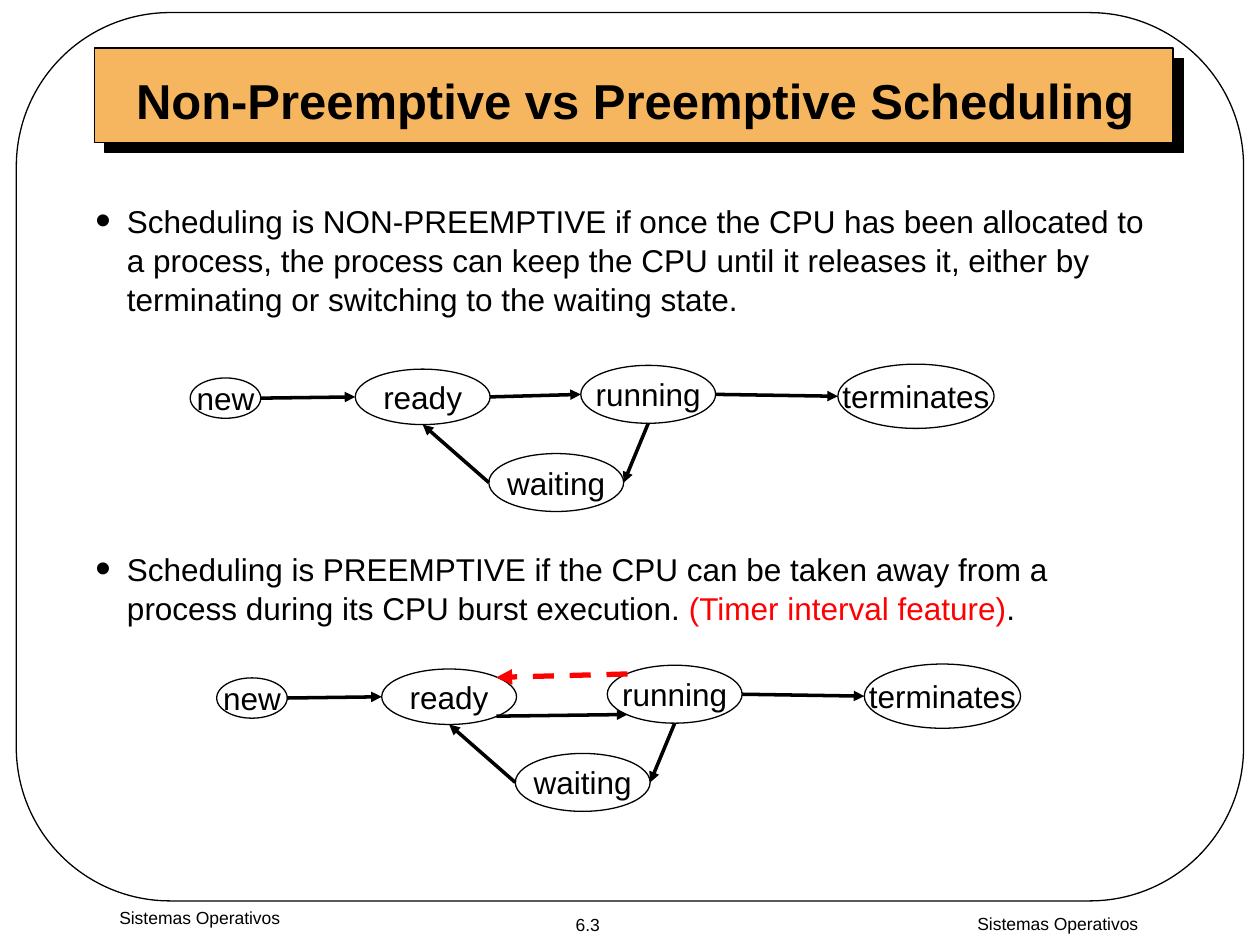
from pptx import Presentation
from pptx.dml.color import RGBColor
from pptx.enum.dml import MSO_LINE
from pptx.enum.shapes import MSO_CONNECTOR, MSO_SHAPE
from pptx.enum.text import MSO_ANCHOR, PP_ALIGN
from pptx.oxml import parse_xml
from pptx.oxml.ns import nsdecls, qn
from pptx.util import Inches, Pt

BLACK, WHITE, RED, GOLD = "000000", "FFFFFF", "FF0000", "F6B660"
PORTS = {
    "top": (0.5, 0), "left": (0, 0.5), "low": (0.5, 1), "right": (1, 0.5),
    "top left": (0.15, 0.15), "top right": (0.85, 0.15),
    "low left": (0.15, 0.85), "low right": (0.85, 0.85),
}
STATES = {
    "new": (1.51, 3, 0.56, 0.32),
    "ready": (2.82, 2.93, 1.07, 0.44),
    "running": (4.61, 2.9, 1.07, 0.46),
    "terminates": (6.65, 2.89, 1.24, 0.51),
    "waiting": (3.88, 3.6, 1.07, 0.46),
}
SHARED = [
    ("new", "right", "ready", "left"),
    ("running", "right", "terminates", "left"),
    ("running", "low", "waiting", "right"),
    ("waiting", "left", "ready", "low"),
]
KEEP = [("ready", "right", "running", "left")]
SWAP = [("ready", "low right", "running", "low left")]
TIMER = ("running", "top left", "ready", "top right")
POINTS = [
    [("Scheduling is NON-PREEMPTIVE if once the CPU has been allocated to a "
      "process, the process can keep the CPU until it releases it, either by "
      "terminating or switching to the waiting state.", BLACK)],
    [("Scheduling is PREEMPTIVE if the CPU can be taken away from a process "
      "during its CPU burst execution. ", BLACK),
     ("(Timer interval feature)", RED), (".", BLACK)],
]


def hue(code):
    """Turn a hex string into a colour."""
    return RGBColor.from_string(code)


def node(tag, **vals):
    """Make a drawing element with attributes."""
    item = parse_xml(f"<a:{tag} {nsdecls('a')}/>")
    for key, val in vals.items():
        item.set(key, str(val))
    return item


def apply(thing, vals):
    """Set attributes from a dict of format values."""
    for key, val in vals.items():
        setattr(thing, key, val)


class Deck:
    """Hold the style and the current slide."""

    face = "Arial"
    thin = Pt(0.75)

    def __init__(self, slide):
        """Keep the slide to draw on."""
        self.slide = slide

    def words(self, para, text, size, code=BLACK, bold=False):
        """Add a styled run."""
        run = para.add_run()
        run.text = text
        apply(run.font, {"name": self.face, "size": Pt(size), "bold": bold})
        run.font.color.rgb = hue(code)

    def shape(self, kind, box, fill=None):
        """Add a thinly outlined preset shape."""
        item = self.slide.shapes.add_shape(kind, *map(Inches, box))
        item.shadow.inherit = False
        if fill:
            item.fill.solid()
            item.fill.fore_color.rgb = hue(fill)
        else:
            item.fill.background()
        item.line.width = self.thin
        item.line.color.rgb = hue(BLACK)
        return item

    def banner(self, box):
        """Add the title band with its hard shadow."""
        item = self.shape(MSO_SHAPE.RECTANGLE, box, GOLD)
        shade = node("outerShdw", dist=Pt(8.5), dir=45 * 60000, algn="ctr", rotWithShape=0)
        shade.append(node("srgbClr", val=BLACK))
        item._element.spPr.find(qn("a:effectLst")).append(shade)

    def frame(self, box):
        """Add the rounded page border."""
        self.shape(MSO_SHAPE.ROUNDED_RECTANGLE, box).adjustments[0] = 0.173

    def label(self, text, box, size, align=PP_ALIGN.CENTER, anchor=MSO_ANCHOR.TOP, bold=False):
        """Add one line of text."""
        frame = self.slide.shapes.add_textbox(*map(Inches, box)).text_frame
        apply(frame, {"word_wrap": True, "vertical_anchor": anchor})
        para = frame.paragraphs[0]
        para.alignment = align
        self.words(para, text, size, bold=bold)

    def list(self, points, box, gap):
        """Add bulleted paragraphs set apart by a gap."""
        frame = self.slide.shapes.add_textbox(*map(Inches, box)).text_frame
        frame.word_wrap = True
        for num, parts in enumerate(points):
            para = frame.add_paragraph() if num else frame.paragraphs[0]
            apply(para, {"line_spacing": 1.04, "space_before": Pt(gap if num else 0)})
            props = para._p.get_or_add_pPr()
            for key, val in {"marL": 0.25, "indent": -0.25}.items():
                props.set(key, str(Inches(val)))
            props.append(node("buSzPct", val=140000))
            props.append(node("buFont", typeface=self.face))
            props.append(node("buChar", char="•"))
            for text, code in parts:
                self.words(para, text, 18, code)

    def state(self, text, box):
        """Add a named process state."""
        frame = self.shape(MSO_SHAPE.OVAL, box, WHITE).text_frame
        apply(frame, {"word_wrap": False, "vertical_anchor": MSO_ANCHOR.MIDDLE})
        frame.paragraphs[0].alignment = PP_ALIGN.CENTER
        self.words(frame.paragraphs[0], text, 18)

    def arrow(self, start, end, code=BLACK, width=2, dash=None):
        """Add a line with an arrowhead at its end."""
        item = self.slide.shapes.add_connector(
            MSO_CONNECTOR.STRAIGHT, *map(Inches, (*start, *end)))
        item.line.color.rgb = hue(code)
        apply(item.line, {"width": Pt(width), "dash_style": dash})
        props = item._element.spPr
        props.find(qn("a:ln")).append(node("tailEnd", type="triangle"))
        props.append(node("effectLst"))

    def graph(self, links, right=0, down=0, timer=None):
        """Draw the states and their links, moved by an offset."""
        boxes = {name: (x + right, y + down, w, h)
                 for name, (x, y, w, h) in STATES.items()}

        def spot(name, port):
            """Find a port on the rim of a state."""
            x, y, w, h = boxes[name]
            part, drop = PORTS[port]
            return x + w * part, y + h * drop

        for name, box in boxes.items():
            self.state(name, box)
        for head, out, tail, into in links:
            self.arrow(spot(head, out), spot(tail, into))
        if timer:
            self.arrow(spot(*timer[:2]), spot(*timer[2:]), RED, 3, MSO_LINE.DASH)


def main():
    """Build and save the slide."""
    show = Presentation()
    apply(show, {"slide_width": Inches(10), "slide_height": Inches(7.5)})
    deck = Deck(show.slides.add_slide(show.slide_layouts[6]))
    deck.banner((0.75, 0.38, 8.56, 0.75))
    deck.frame((0.13, 0.1, 9.74, 7.05))
    deck.label("Sistemas Operativos", (6.81, 7.2, 3.17, 0.3), 10)
    deck.label("6.3", (4.47, 7.2, 0.56, 0.27), 10, PP_ALIGN.LEFT, MSO_ANCHOR.MIDDLE)
    deck.label("Sistemas Operativos", (0, 7.15, 3.17, 0.35), 10)
    deck.label("Non-Preemptive vs Preemptive Scheduling", (0.9, 0.54, 8.28, 0.5), 28,
               anchor=MSO_ANCHOR.MIDDLE, bold=True)
    deck.list(POINTS, (0.66, 1.54, 8.67, 4.85), 131.5)
    deck.graph(SHARED + KEEP)
    deck.graph(SHARED + SWAP, 0.21, 2.38, TIMER)
    show.save("out.pptx")


if __name__ == "__main__":
    main()
